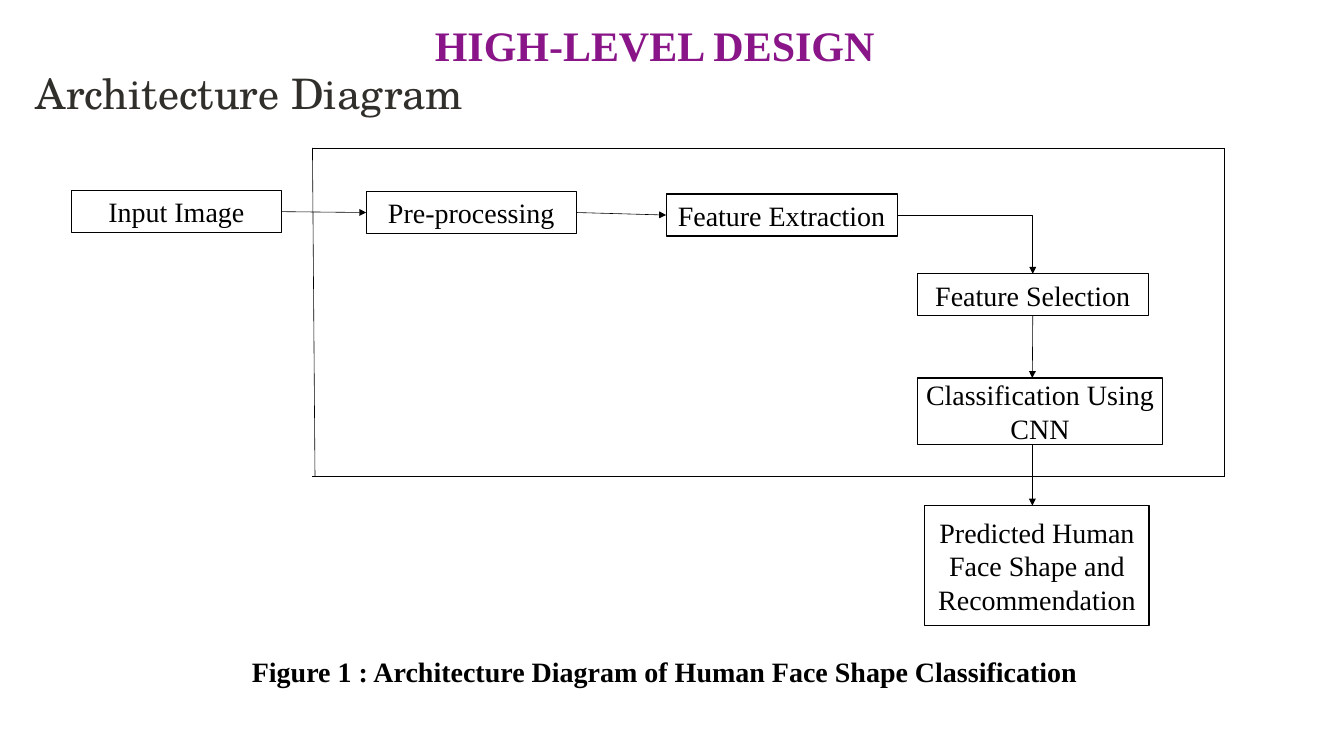
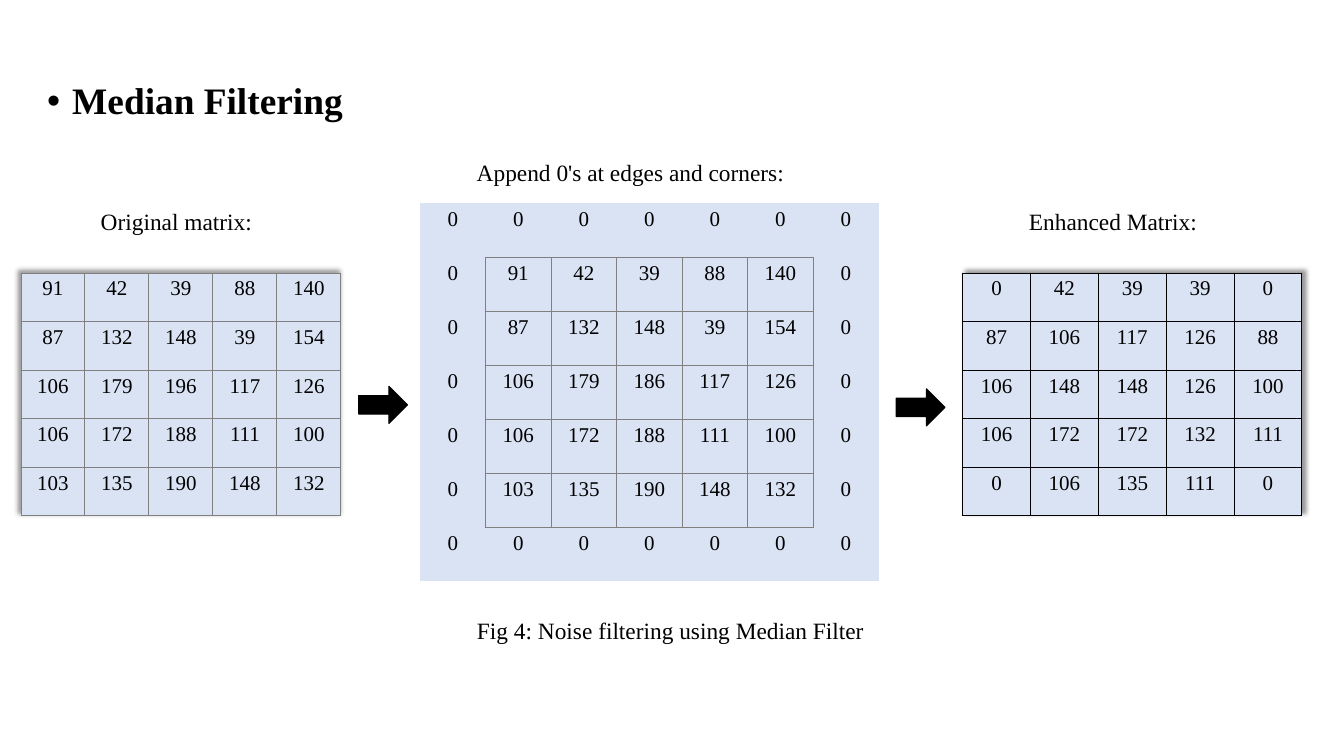
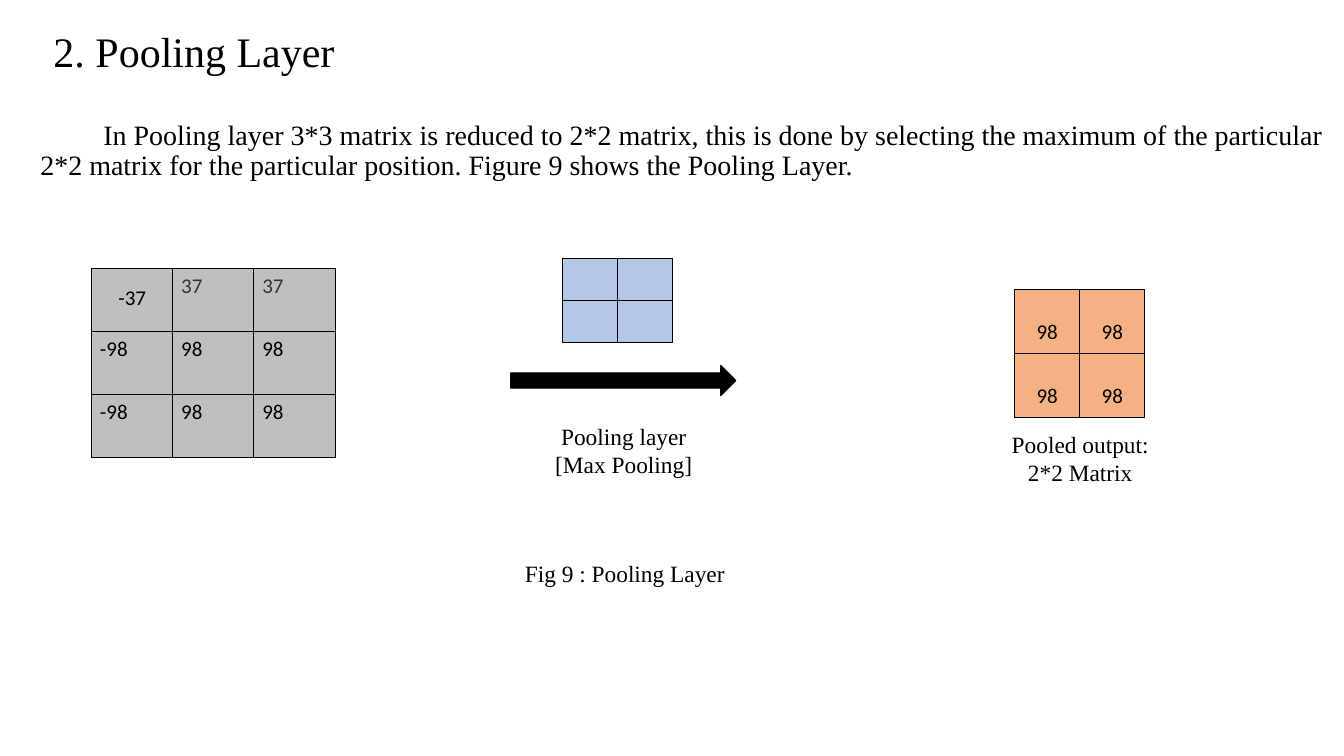
from lxml import etree
from pptx import Presentation
from pptx.dml.color import RGBColor
from pptx.enum.shapes import MSO_CONNECTOR, MSO_SHAPE
from pptx.enum.text import MSO_ANCHOR, MSO_AUTO_SIZE, PP_ALIGN
from pptx.oxml.ns import qn
from pptx.util import Inches, Pt

BLACK = RGBColor(0x00, 0x00, 0x00)
WHITE = RGBColor(0xFF, 0xFF, 0xFF)
PURPLE = RGBColor(0x89, 0x15, 0x89)
CHARCOAL = RGBColor(0x31, 0x2F, 0x2B)
DARK_GREY = RGBColor(0x36, 0x34, 0x2F)
MID_GREY = RGBColor(0x80, 0x80, 0x80)
LIGHT_GREY = RGBColor(0xBF, 0xBF, 0xBF)
PALE_BLUE = RGBColor(0xDA, 0xE3, 0xF3)
SOFT_BLUE = RGBColor(0xB4, 0xC7, 0xE7)
ORANGE = RGBColor(0xF4, 0xB1, 0x83)

SERIF = "Times New Roman"
PARAGRAPH_FORMAT = {"alignment": PP_ALIGN.LEFT, "line_spacing": 1.0, "space_before": Pt(0)}
FONT_FORMAT = {"name": SERIF, "size": Pt(20), "bold": False}
CENTERED = {"alignment": PP_ALIGN.CENTER}
TITLE = {"size": Pt(36), "line_spacing": 0.9, **CENTERED}
NODE = {"size": Pt(24), **CENTERED}
MATRIX = {"size": Pt(18), **CENTERED}
POOL_CELL = {"size": Pt(18), "name": "Calibri"}


def set_all(target, values):
    for name, value in values.items():
        setattr(target, name, value)


def inches(box):
    return [Inches(length) for length in box]


def write(frame, lines, style, color=BLACK):
    for index, line in enumerate(lines):
        paragraph = frame.paragraphs[0] if index == 0 else frame.add_paragraph()
        paragraph.text = line
        set_all(paragraph, {key: style.get(key, value) for key, value in PARAGRAPH_FORMAT.items()})
        font = paragraph.runs[0].font
        set_all(font, {key: style.get(key, value) for key, value in FONT_FORMAT.items()})
        font.color.rgb = color


def add_label(slide, lines, box, style, color=BLACK):
    frame = slide.shapes.add_textbox(*inches(box)).text_frame
    frame.word_wrap = True
    write(frame, lines, style, color)


def fill_placeholder(placeholder, text, box, style, color=BLACK, anchor=MSO_ANCHOR.TOP):
    set_all(placeholder, dict(zip(("left", "top", "width", "height"), inches(box))))
    frame = placeholder.text_frame
    set_all(frame, {"word_wrap": True, "auto_size": MSO_AUTO_SIZE.NONE, "vertical_anchor": anchor})
    write(frame, [text], style, color)
    return frame.paragraphs[0]


def set_indent(paragraph, margin, first_line, bullet=None):
    properties = paragraph._p.get_or_add_pPr()
    properties.set("marL", str(Inches(margin)))
    properties.set("indent", str(Inches(first_line)))
    if bullet:
        etree.SubElement(properties, qn("a:buFont"), typeface="Arial")
        etree.SubElement(properties, qn("a:buChar"), char=bullet)
    else:
        etree.SubElement(properties, qn("a:buNone"))


def add_block(slide, shape_type, box, fill):
    block = slide.shapes.add_shape(shape_type, *inches(box))
    block.shadow.inherit = False
    block.fill.solid()
    block.fill.fore_color.rgb = fill
    block.line.color.rgb = BLACK
    block.line.width = Pt(1)
    return block


def add_node(slide, text, box):
    node = add_block(slide, MSO_SHAPE.RECTANGLE, box, WHITE)
    frame = node.text_frame
    set_all(frame, {
        "word_wrap": True,
        "vertical_anchor": MSO_ANCHOR.MIDDLE,
        "margin_left": Inches(0.05),
        "margin_right": Inches(0.05),
    })
    write(frame, [text], NODE)
    return node


def add_link(slide, start, end, kind=MSO_CONNECTOR.STRAIGHT, arrow=True):
    link = slide.shapes.add_connector(kind, *inches((*start, *end)))
    link.line.color.rgb = BLACK
    link.line.width = Pt(0.5)
    if arrow:
        etree.SubElement(link.line._get_or_add_ln(), qn("a:tailEnd"), type="triangle")
    etree.SubElement(link._element.spPr, qn("a:effectLst"))
    return link


def draw_edges(cell, edges, color):
    properties = cell._tc.get_or_add_tcPr()
    for side, visible in edges.items():
        edge = etree.SubElement(properties, qn(f"a:ln{side}"), w=str(Pt(1)))
        if visible:
            solid = etree.SubElement(edge, qn("a:solidFill"))
            etree.SubElement(solid, qn("a:srgbClr"), val=str(color))
        else:
            etree.SubElement(edge, qn("a:noFill"))


def cast_shadow(table, degrees):
    effects = etree.Element(qn("a:effectLst"))
    shadow = etree.SubElement(
        effects, qn("a:outerShdw"), blurRad=str(Pt(4)), dist=str(Pt(3)), dir=str(degrees * 60000)
    )
    shade = etree.SubElement(shadow, qn("a:prstClr"), val="black")
    etree.SubElement(shade, qn("a:alpha"), val="40000")
    table._tbl.tblPr.insert(0, effects)


def add_matrix(slide, values, box, fill, border, style, padding=0, special=None):
    rows, columns = len(values), len(values[0])
    table = slide.shapes.add_table(rows, columns, *inches(box)).table
    set_all(table, {"first_row": False, "horz_banding": False})

    def framed(row, column):
        return padding <= row < rows - padding and padding <= column < columns - padding

    neighbours = {"L": (0, -1), "R": (0, 1), "T": (-1, 0), "B": (1, 0)}
    for row, line in enumerate(values):
        for column, value in enumerate(line):
            cell = table.cell(row, column)
            edges = {
                side: framed(row, column) or framed(row + down, column + across)
                for side, (down, across) in neighbours.items()
            }
            draw_edges(cell, edges, border)
            cell.fill.solid()
            cell.fill.fore_color.rgb = fill
            if value is not None:
                changes, color = (special or {}).get((row, column), ({}, BLACK))
                write(cell.text_frame, [str(value)], {**style, **changes}, color)
    return table


def build_architecture(prs):
    slide = prs.slides.add_slide(prs.slide_layouts[5])
    fill_placeholder(slide.shapes.title, "HIGH-LEVEL DESIGN", (4.09, 0.17, 7.41, 0.81),
                     {**TITLE, "bold": True}, PURPLE, MSO_ANCHOR.MIDDLE)
    add_label(slide, ["Architecture Diagram"], (0.33, 0.75, 6.76, 1.01),
              {"size": Pt(36), "name": "TeX Gyre Schola"}, CHARCOAL)

    input_image = add_node(slide, "Input Image", (0.85, 2.27, 2.5, 0.5))
    preprocessing = add_node(slide, "Pre-processing", (4.36, 2.28, 2.5, 0.5))
    extraction = add_node(slide, "Feature Extraction", (7.93, 2.31, 2.75, 0.5))
    selection = add_node(slide, "Feature Selection", (10.92, 3.26, 2.75, 0.5))
    add_node(slide, "Classification Using CNN", (10.92, 4.5, 2.92, 0.79))
    add_node(slide, "Predicted Human Face Shape and Recommendation", (11.01, 6.02, 2.67, 1.43))

    for source, target in ((input_image, preprocessing), (preprocessing, extraction)):
        link = add_link(slide, (0, 0), (1, 1))
        link.begin_connect(source, 3)
        link.end_connect(target, 1)

    bend = add_link(slide, (10.68, 2.56), (12.29, 3.26), MSO_CONNECTOR.ELBOW)
    bend._element.spPr.find(qn("a:prstGeom")).set("prst", "bentConnector2")
    bend.begin_connect(extraction, 3)
    bend.end_connect(selection, 0)

    to_classification = add_link(slide, (12.29, 3.76), (12.29, 4.5))
    to_classification.begin_connect(selection, 2)
    add_link(slide, (12.29, 5.29), (12.29, 6.02))

    left, top, right, bottom = 3.72, 1.76, 14.58, 5.67
    for start, end in (
        ((left, top), (left + 0.03, bottom)),
        ((left, top), (right, top)),
        ((right, top), (right, bottom)),
        ((left, bottom), (right, bottom)),
    ):
        add_link(slide, start, end, arrow=False)

    add_label(slide, ["Figure 1 : Architecture Diagram of Human Face Shape Classification"],
              (2.9, 7.74, 10.07, 0.5), {"size": Pt(24), "bold": True})


def build_median_filtering(prs):
    slide = prs.slides.add_slide(prs.slide_layouts[1])
    heading = fill_placeholder(slide.placeholders[1], "Median Filtering", (0.46, 0.93, 14.4, 0.59),
                               {"size": Pt(32), "bold": True, "line_spacing": 0.9})
    set_indent(heading, 0.3, -0.3, "•")
    unused_title = slide.shapes.title._element
    unused_title.getparent().remove(unused_title)

    original = [
        [91, 42, 39, 88, 140],
        [87, 132, 148, 39, 154],
        [106, 179, 196, 117, 126],
        [106, 172, 188, 111, 100],
        [103, 135, 190, 148, 132],
    ]
    enhanced = [
        [0, 42, 39, 39, 0],
        [87, 106, 117, 126, 88],
        [106, 148, 148, 126, 100],
        [106, 172, 172, 132, 111],
        [0, 106, 135, 111, 0],
    ]
    inner = [list(line) for line in original]
    inner[2][2] = 186
    zeros = [0] * 7
    padded = [zeros, *([0, *line, 0] for line in inner), zeros]

    original_table = add_matrix(slide, original, (0.25, 3.25, 3.81, 2.89), PALE_BLUE, MID_GREY, MATRIX)
    cast_shadow(original_table, 225)
    add_matrix(slide, padded, (5, 2.42, 5.46, 4.5), PALE_BLUE, MID_GREY, MATRIX, padding=1)
    enhanced_table = add_matrix(slide, enhanced, (11.46, 3.25, 4.04, 2.89), PALE_BLUE, BLACK, MATRIX)
    cast_shadow(enhanced_table, 315)

    for text, box in (
        ("Original matrix:", (0.6, 2.42, 3, 0.44)),
        ("Append 0's at edges and corners:", (5.5, 1.83, 4.01, 0.44)),
        ("Enhanced Matrix:", (11.75, 2.42, 3, 0.44)),
    ):
        add_label(slide, [text], box, CENTERED)
    add_label(slide, ["Fig 4: Noise filtering using Median Filter"], (5.58, 7.29, 4.99, 0.44), {})
    for left, top in ((4.27, 4.6), (10.67, 4.63)):
        add_block(slide, MSO_SHAPE.RIGHT_ARROW, (left, top, 0.58, 0.44), BLACK)


def build_pooling_layer(prs):
    slide = prs.slides.add_slide(prs.slide_layouts[1])
    fill_placeholder(slide.shapes.title, "2. Pooling Layer", (0.31, 0.25, 4, 0.48),
                     {**TITLE, "line_spacing": 1.0})
    explanation = fill_placeholder(
        slide.placeholders[1],
        "In Pooling layer 3*3 matrix is reduced to 2*2 matrix, this is done by selecting the maximum "
        "of the particular 2*2 matrix for the particular position. Figure 9 shows the Pooling Layer.",
        (0.38, 1.39, 15.62, 1), {"size": Pt(24), "line_spacing": 0.9})
    set_indent(explanation, 0, 0.75)

    feature_map = [[-37, 37, 37], [-98, 98, 98], [-98, 98, 98]]
    special = {
        (0, 0): ({**CENTERED, "line_spacing": 1.5}, BLACK),
        (0, 1): ({}, DARK_GREY),
        (0, 2): ({}, DARK_GREY),
    }
    add_matrix(slide, feature_map, (1.09, 3.2, 2.9, 2.25), LIGHT_GREY, BLACK, POOL_CELL, special=special)
    add_matrix(slide, [[None] * 2] * 2, (6.7, 3.08, 1.31, 1), SOFT_BLUE, BLACK, POOL_CELL)
    add_matrix(slide, [[98] * 2] * 2, (12.08, 3.45, 1.55, 1.52), ORANGE, BLACK,
               {**POOL_CELL, **CENTERED, "line_spacing": 2.0})

    add_block(slide, MSO_SHAPE.RIGHT_ARROW, (6.08, 4.35, 2.68, 0.36), BLACK)
    add_label(slide, ["Pooling layer", "[Max Pooling]"], (6.42, 4.98, 2.01, 0.77), CENTERED)
    add_label(slide, ["Pooled output:", "2*2 Matrix"], (11.12, 5.07, 3.48, 0.77), CENTERED)
    add_label(slide, ["Fig 9 : Pooling Layer"], (6.15, 6.61, 3.61, 0.44), {})


def main():
    prs = Presentation()
    set_all(prs, {"slide_width": Inches(16), "slide_height": Inches(9)})
    for build in (build_architecture, build_median_filtering, build_pooling_layer):
        build(prs)
    prs.save("out.pptx")


if __name__ == "__main__":
    main()
